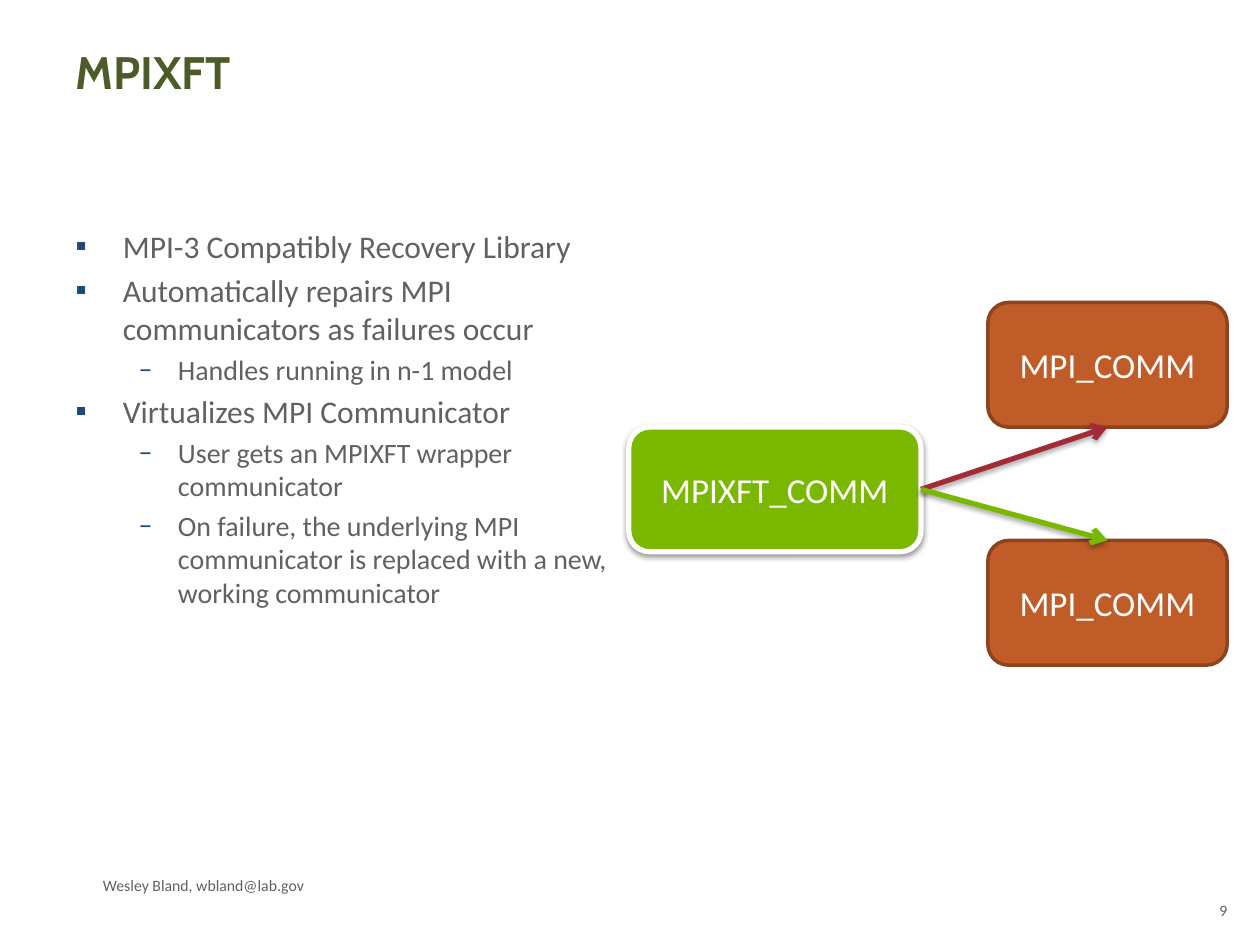
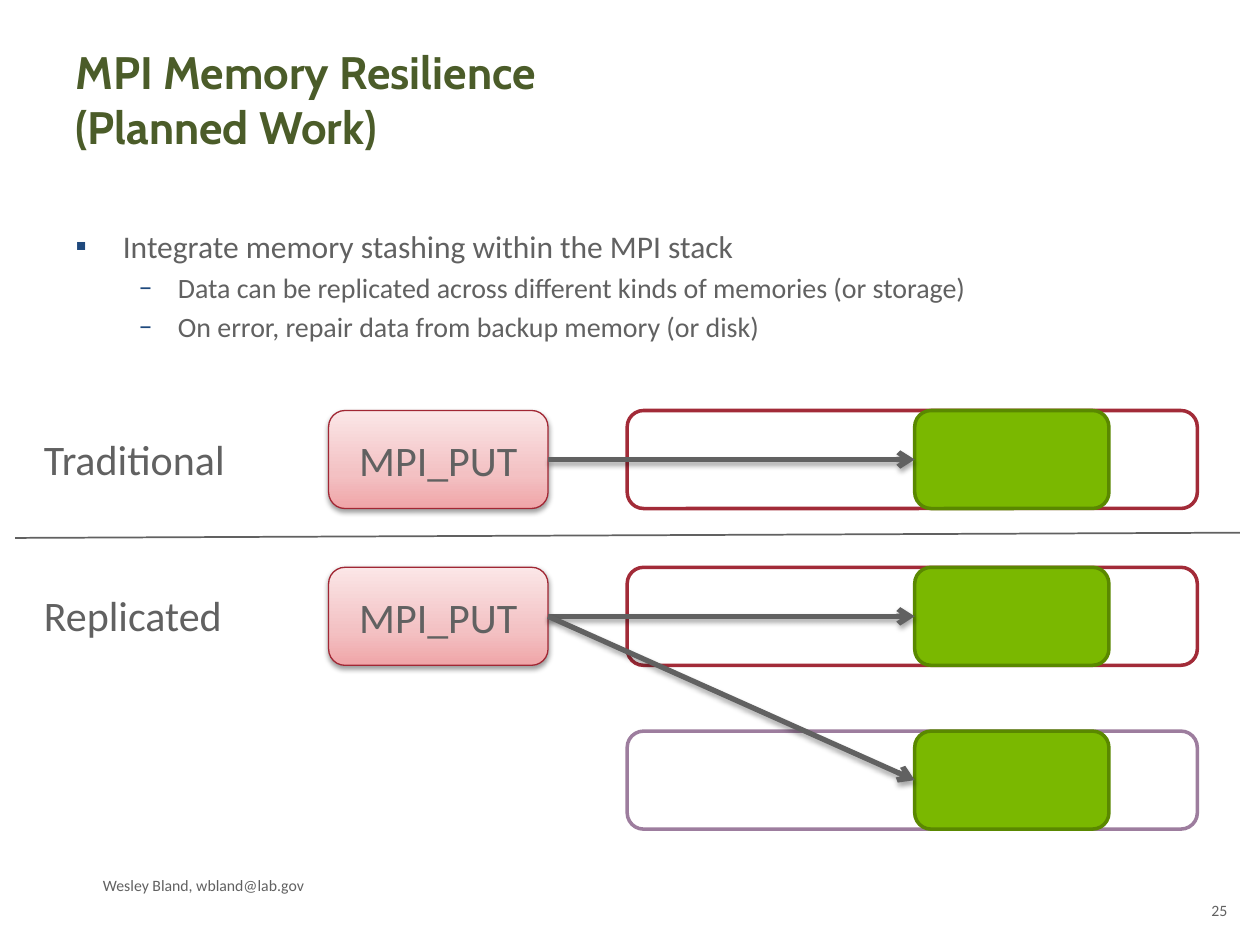
from lxml.etree import SubElement
from pptx import Presentation
from pptx.dml.color import RGBColor
from pptx.enum.shapes import MSO_CONNECTOR, MSO_SHAPE
from pptx.enum.text import MSO_ANCHOR as Anchor, MSO_AUTO_SIZE, PP_ALIGN as Align
from pptx.oxml import parse_xml
from pptx.oxml.ns import nsdecls, qn
from pptx.util import Pt

WHITE = RGBColor(0xFF, 0xFF, 0xFF)
BLACK = RGBColor(0x00, 0x00, 0x00)
GREY = RGBColor(0x61, 0x61, 0x61)
OLIVE = RGBColor(0x4B, 0x5C, 0x29)
NAVY = RGBColor(0x1F, 0x49, 0x7D)
RUST = RGBColor(0xBF, 0x5C, 0x28)
DARK_RUST = RGBColor(0x8D, 0x44, 0x1E)
GREEN = RGBColor(0x7A, 0xB8, 0x00)
DARK_GREEN = RGBColor(0x5A, 0x88, 0x00)
RED = RGBColor(0xA2, 0x2B, 0x38)
PUT_EDGE = RGBColor(0xA1, 0x27, 0x34)
MAUVE = RGBColor(0x9D, 0x7D, 0x9E)
PINKS = [
    (0, RGBColor(0xF0, 0xA5, 0xA8)),
    (35, RGBColor(0xF3, 0xC1, 0xC3)),
    (100, RGBColor(0xFB, 0xE6, 0xE7)),
]
TITLE_FONT, BODY_FONT = "Cabin", "Calibri"

AUTHOR = "Wesley Bland, wbland@lab.gov"
BULLETS = [
    {"mark": "▪", "size": 18, "left": 27, "hang": 27},
    {"mark": "–", "size": 16, "left": 58.5, "hang": 22.5},
]

LIBRARY = {
    "title": ["MPIXFT"],
    "number": "9",
    "body_width": 323.3,
    "points": [
        (0, "MPI-3 Compatibly Recovery Library"),
        (0, "Automatically repairs MPI communicators as failures occur"),
        (1, "Handles running in n-1 model"),
        (0, "Virtualizes MPI Communicator"),
        (1, "User gets an MPIXFT wrapper communicator"),
        (1, "On failure, the underlying MPI communicator is replaced "
            "with a new, working communicator"),
    ],
}
WRAPPER = "MPIXFT_COMM"
COMMUNICATORS = [
    ("MPI_COMM", 172.8, RED, 2),
    ("MPI_COMM", 308.8, GREEN, 0),
]

MEMORY = {
    "title": ["MPI Memory Resilience", "(Planned Work)"],
    "number": "25",
    "body_width": 648,
    "points": [
        (0, "Integrate memory stashing within the MPI stack"),
        (1, "Data can be replicated across different kinds of memories (or storage)"),
        (1, "On error, repair data from backup memory (or disk)"),
    ],
}
OPERATION = "MPI_PUT"
SCHEMES = [
    ("Traditional", [(234.6, RED)]),
    ("Replicated", [(324.2, RED), (417.8, MAUVE)]),
]
ROW_HEIGHT = 56


def add_run(paragraph, text, size, color=GREY, font=BODY_FONT, bold=False):
    run = paragraph.add_run()
    run.text = text
    run.font.size = Pt(size)
    run.font.name = font
    run.font.bold = bold
    run.font.color.rgb = color


def place(part, left, top, width, height):
    part.left, part.top = Pt(left), Pt(top)
    part.width, part.height = Pt(width), Pt(height)


def add_label(slide, box, text, size, align=Align.LEFT, anchor=Anchor.TOP):
    frame = slide.shapes.add_textbox(*map(Pt, box)).text_frame
    frame.word_wrap = True
    frame.vertical_anchor = anchor
    frame.paragraphs[0].alignment = align
    add_run(frame.paragraphs[0], text, size)


def set_bullet(paragraph, level):
    style = BULLETS[level]
    paragraph.level = level
    paragraph.space_before = Pt(style["size"] * 0.2)
    props = paragraph._p.get_or_add_pPr()
    props.set("marL", str(Pt(style["left"])))
    props.set("indent", str(-Pt(style["hang"])))
    color = SubElement(props, qn("a:buClr"))
    SubElement(color, qn("a:srgbClr"), val=str(NAVY))
    SubElement(props, qn("a:buFont"), typeface=BODY_FONT)
    SubElement(props, qn("a:buChar"), char=style["mark"])


def add_page(deck, page):
    slide = deck.slides.add_slide(deck.slide_layouts[1])
    title, body = slide.placeholders[0], slide.placeholders[1]

    place(title, 36, 21.6, 648, 90)
    heading = title.text_frame
    heading.vertical_anchor = Anchor.TOP
    heading.auto_size = MSO_AUTO_SIZE.NONE
    heading.paragraphs[0].alignment = Align.LEFT
    for index, line in enumerate(page["title"]):
        if index:
            heading.paragraphs[0].add_line_break()
        add_run(heading.paragraphs[0], line, 26, OLIVE, TITLE_FONT, True)

    place(body, 36, 126, page["body_width"], 356.4)
    points = body.text_frame
    points.auto_size = MSO_AUTO_SIZE.NONE
    for index, (level, text) in enumerate(page["points"]):
        paragraph = points.add_paragraph() if index else points.paragraphs[0]
        set_bullet(paragraph, level)
        add_run(paragraph, text, BULLETS[level]["size"])

    add_label(slide, (51.8, 496.8, 468, 18), AUTHOR, 9, anchor=Anchor.MIDDLE)
    add_label(slide, (678.2, 511.2, 30.2, 28.8), page["number"], 9, Align.RIGHT)
    return slide


def add_shadow(effects, alpha, distance):
    shadow = SubElement(
        effects, qn("a:outerShdw"), blurRad=str(Pt(3.1)), dist=str(Pt(distance)),
        dir="5400000", rotWithShape="0")
    color = SubElement(shadow, qn("a:srgbClr"), val=str(BLACK))
    SubElement(color, qn("a:alpha"), val=str(alpha * 1000))


def gradient_xml(stops):
    marks = "".join(
        f'<a:gs pos="{pos * 1000}"><a:srgbClr val="{color}"/></a:gs>'
        for pos, color in stops)
    return parse_xml(
        f'<a:gradFill {nsdecls("a")} rotWithShape="1"><a:gsLst>{marks}</a:gsLst>'
        '<a:lin ang="16200000" scaled="0"/></a:gradFill>')


def add_block(slide, box, fill, edge, weight, text="", size=20, color=WHITE,
              shadowed=False):
    block = slide.shapes.add_shape(MSO_SHAPE.ROUNDED_RECTANGLE, *map(Pt, box))
    props = block.element.spPr
    if isinstance(fill, list):
        props.find(qn("a:prstGeom")).addnext(gradient_xml(fill))
    else:
        block.fill.solid()
        block.fill.fore_color.rgb = fill
    block.line.color.rgb = edge
    block.line.width = Pt(weight)
    block.shadow.inherit = False
    if shadowed:
        add_shadow(props.find(qn("a:effectLst")), 38, 1.6)
    if text:
        block.text_frame.vertical_anchor = Anchor.MIDDLE
        block.text_frame.paragraphs[0].alignment = Align.CENTER
        add_run(block.text_frame.paragraphs[0], text, size, color)
    return block


def add_line(slide, ends, color, weight):
    line = slide.shapes.add_connector(MSO_CONNECTOR.STRAIGHT, *map(Pt, ends))
    line.line.color.rgb = color
    line.line.width = Pt(weight)
    return line, SubElement(line.element.spPr, qn("a:effectLst"))


def add_arrow(slide, source, target, side, color):
    arrow, effects = add_line(slide, (0, 0, 0, 0), color, 3)
    arrow.begin_connect(source, 3)
    arrow.end_connect(target, side)
    SubElement(arrow.line._get_or_add_ln(), qn("a:tailEnd"), type="arrow")
    add_shadow(effects, 35, 1.8)


def build_library(deck):
    slide = add_page(deck, LIBRARY)
    communicators = [
        add_block(slide, (564.5, top, 136.8, 71.3), RUST, DARK_RUST, 2, name)
        for name, top, _, _ in COMMUNICATORS]
    wrapper = add_block(slide, (359.3, 244, 167, 71.3), GREEN, WHITE, 3,
                        WRAPPER, shadowed=True)
    for communicator, (_, _, color, side) in zip(communicators, COMMUNICATORS):
        add_arrow(slide, wrapper, communicator, side, color)


def build_memory(deck):
    slide = add_page(deck, MEMORY)
    for scheme, memories in SCHEMES:
        first_top = memories[0][0]
        put = add_block(slide, (187.8, first_top, 125.4, ROW_HEIGHT), PINKS,
                        PUT_EDGE, 0.75, OPERATION, 24, GREY, True)
        for top, edge in memories:
            add_block(slide, (358.4, top, 325.8, ROW_HEIGHT), WHITE, edge, 2)
            data = add_block(slide, (522.7, top, 111, ROW_HEIGHT), GREEN,
                             DARK_GREEN, 2)
            add_arrow(slide, put, data, 1, GREY)
        add_label(slide, (18, first_top + 9.4, 145.4, 36), scheme, 24)
    add_line(slide, (8.6, 307.4, 708.5, 304.4), GREY, 1)


def main():
    deck = Presentation()
    deck.slide_width, deck.slide_height = Pt(720), Pt(540)
    build_library(deck)
    build_memory(deck)
    deck.save("out.pptx")


if __name__ == "__main__":
    main()
